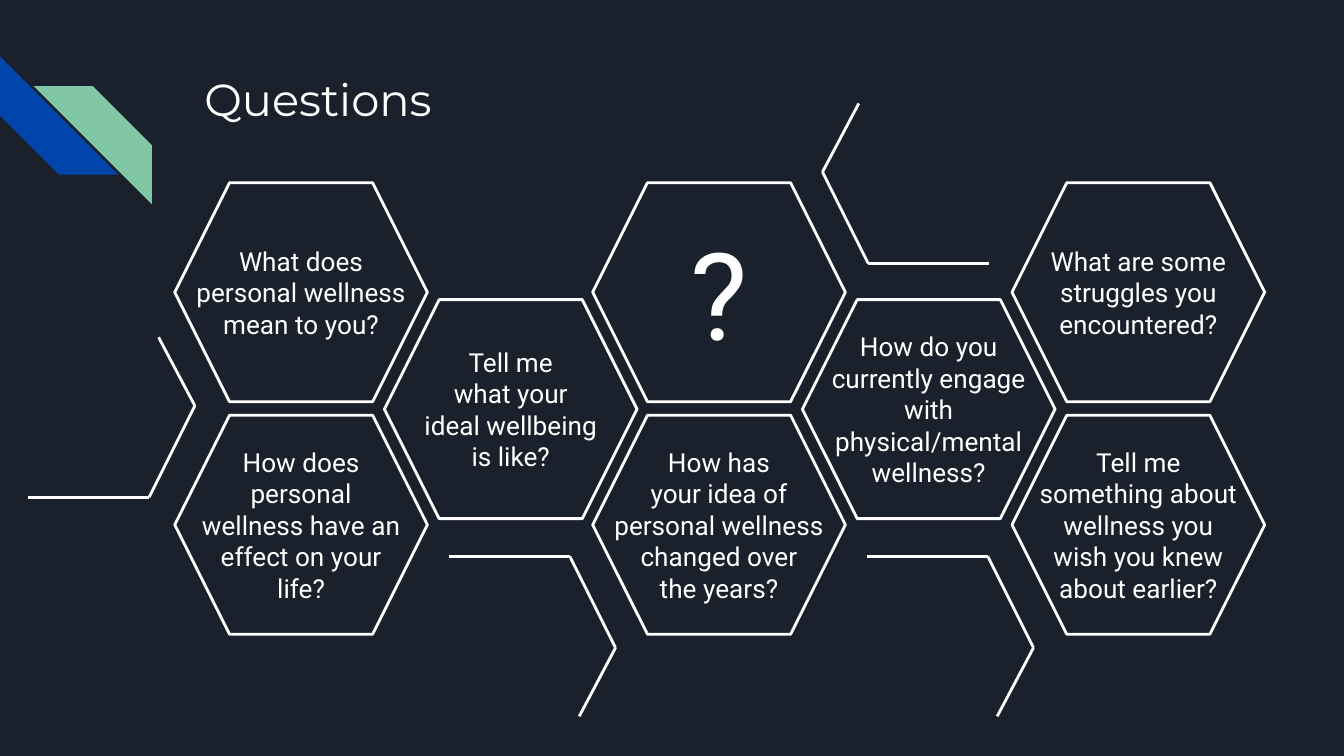
from lxml import etree
from pptx import Presentation
from pptx.dml.color import RGBColor
from pptx.enum.shapes import MSO_CONNECTOR, MSO_SHAPE
from pptx.enum.text import MSO_ANCHOR, MSO_AUTO_SIZE, PP_ALIGN
from pptx.oxml.ns import qn
from pptx.util import Emu, Pt

EMU_PER_PX = 9144  # 100 px to the inch
HEXAGON, STRIPE = MSO_SHAPE.HEXAGON, MSO_SHAPE.DIAGONAL_STRIPE
STRAIGHT = MSO_CONNECTOR.STRAIGHT
TOP, MIDDLE = MSO_ANCHOR.TOP, MSO_ANCHOR.MIDDLE
LEFT, CENTER = PP_ALIGN.LEFT, PP_ALIGN.CENTER
NO_AUTOFIT = MSO_AUTO_SIZE.NONE

WHITE, NAVY, BLUE, GREEN = "FFFFFF", "1B212C", "0145AC", "82C7A5"
HEX_W, HEX_H = 188, 163
COL_STEP, ROW_STEP = 155.7, 86.6

# column, row (in half-hexagon steps), text width, size, text
QUESTIONS = [
    (0, 0, 188, 14, "What does personal wellness mean to you?"),
    (0, 2, 175, 14, "How does personal wellness have an effect on your life?"),
    (1, 1, 165, 14, "Tell me\nwhat your\nideal wellbeing is like?"),
    (2, 0, 188, 65, "?"),
    (2, 2, 184, 14, "How has\nyour idea of personal wellness changed over\nthe years?"),
    (3, 1, 175, 14, "How do you currently engage with physical/mental wellness?"),
    (4, 0, 175, 14, "What are some struggles you encountered?"),
    (4, 2, 175, 14, "Tell me something about wellness you wish you knew about earlier?"),
]

# elbow x, elbow y, horizontal direction, vertical direction
BRACKETS = [(646, 196, -1, -1), (424, 414, 1, 1), (111, 370, 1, -1), (735, 414, 1, 1)]


def px(n):
    return Emu(round(n * EMU_PER_PX))


def rgb(value):
    return RGBColor.from_string(value)


def set_text(tf, text, font, size, align, anchor):
    tf.word_wrap = True
    tf.auto_size = NO_AUTOFIT
    tf.vertical_anchor = anchor
    tf.margin_left = tf.margin_right = tf.margin_top = tf.margin_bottom = px(10)
    tf.text = text
    for p in tf.paragraphs:
        p.alignment = align
        p.font.name, p.font.size = font, Pt(size)
        p.font.color.rgb = rgb(WHITE)


def add_title(s, x, y, w, h, text):
    title = s.shapes.title
    title.left, title.top, title.width, title.height = map(px, (x, y, w, h))
    set_text(title.text_frame, text, "Montserrat", 24, LEFT, TOP)


def add_corner_stripes(s, x, y, size):
    for dx, dy, rotation, color in [(0, 0, 270, BLUE), (25, 22, 90, GREEN)]:
        sp = s.shapes.add_shape(STRIPE, px(x + dx), px(y + dy), px(size), px(size))
        sp.adjustments[0] = 0.5
        sp.rotation = rotation
        sp.shadow.inherit = False
        sp.fill.solid()
        sp.fill.fore_color.rgb = rgb(color)
        sp.line.fill.background()


def add_question(s, x, y, text_w, size, text):
    sp = s.shapes.add_shape(HEXAGON, px(x), px(y), px(HEX_W), px(HEX_H))
    sp.adjustments[0] = 0.25
    sp.adjustments[1] = 1.1547
    sp.shadow.inherit = False
    sp.fill.background()
    sp.line.color.rgb = rgb(WHITE)
    sp.line.width = Pt(1.5)
    box = s.shapes.add_textbox(px(x + (HEX_W - text_w) / 2), px(y), px(text_w), px(HEX_H))
    set_text(box.text_frame, text, "Roboto", size, CENTER, MIDDLE)


def add_bracket(s, x, y, sx, sy):
    """Three lines along the edges of an unseen hexagon, placed from their elbow."""
    offsets = [(-90, 0), (0, 0), (34, 68), (7, 119)]
    points = [(px(x + sx * dx), px(y + sy * dy)) for dx, dy in offsets]
    for start, end in zip(points, points[1:]):
        line = s.shapes.add_connector(STRAIGHT, *start, *end)
        line.line.color.rgb = rgb(WHITE)
        line.line.width = Pt(1.5)
        etree.SubElement(line._element.spPr, qn("a:effectLst"))


def main():
    prs = Presentation()
    prs.slide_width, prs.slide_height = px(1000), px(562.5)
    s = prs.slides.add_slide(prs.slide_layouts[5])
    s.background.fill.solid()
    s.background.fill.fore_color.rgb = rgb(NAVY)

    add_corner_stripes(s, 0, 42, 88)
    add_title(s, 142, 43, 238, 55, "Questions")
    for col, row, text_w, size, text in QUESTIONS:
        x, y = 130 + round(col * COL_STEP), 136 + round(row * ROW_STEP)
        add_question(s, x, y, text_w, size, text)
    for bracket in BRACKETS:
        add_bracket(s, *bracket)
    prs.save("out.pptx")


if __name__ == "__main__":
    main()
